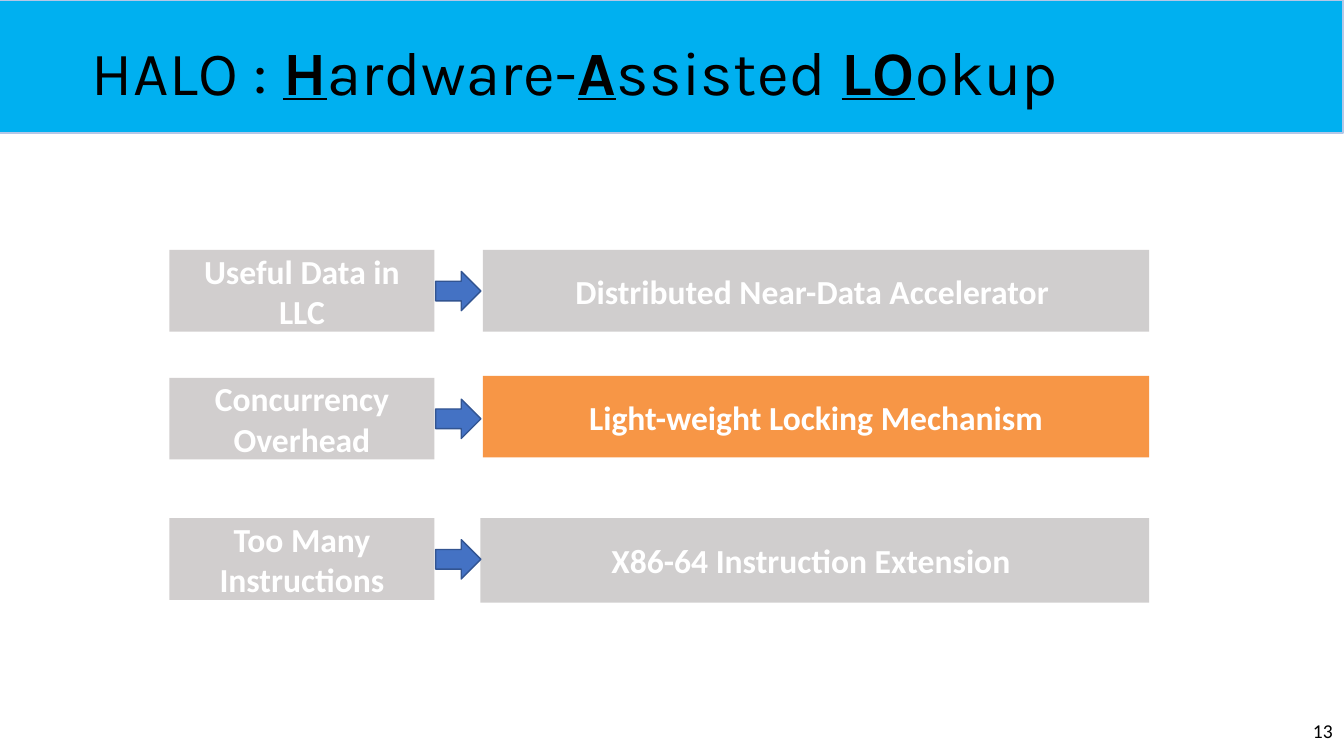
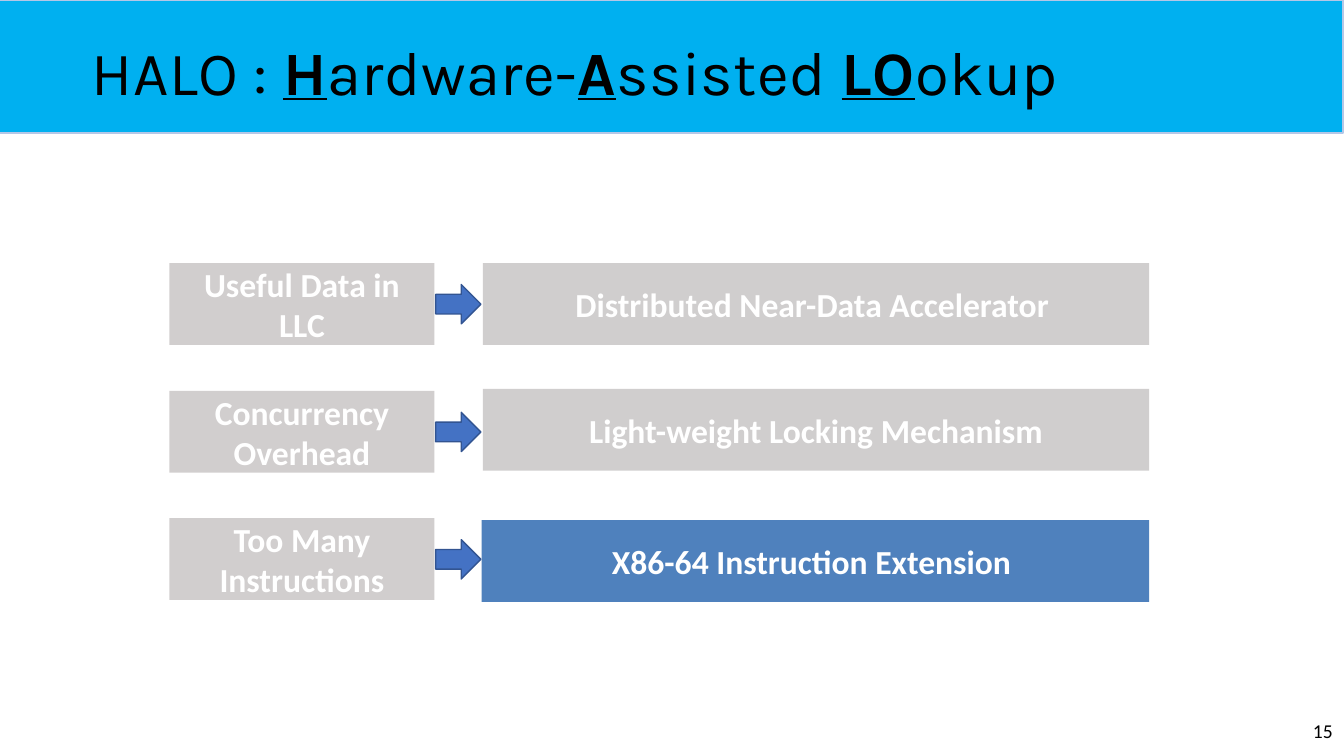
from dataclasses import dataclass

from pptx import Presentation
from pptx.dml.color import RGBColor
from pptx.enum.shapes import MSO_SHAPE
from pptx.enum.text import MSO_ANCHOR, MSO_AUTO_SIZE, PP_ALIGN
from pptx.util import Cm, Pt

BAND_BLUE, BAND_LINE = "00B0F0", "B4C7E7"
LABEL_GREY, MUTED_GREY = "D1CECE", "D0CECE"
ORANGE, BLUE = "F79646", "4F81BD"
ARROW_BLUE, ARROW_LINE = "4472C4", "325491"
BLACK, WHITE = "000000", "FFFFFF"

TITLE_SPANS = [("HALO : ", False), ("H", True), ("ardware-", False), ("A", True),
               ("ssisted ", False), ("LO", True), ("okup", False)]
PAIRS = [("Useful Data in LLC", "Distributed Near-Data Accelerator "),
         ("Concurrency Overhead", "Light-weight Locking Mechanism"),
         ("Too Many Instructions", "X86-64 Instruction Extension ")]
LABEL_LEFT, LABEL_WIDTH, LABEL_HEIGHT = 4.27, 6.68, 2.06
ARROW_LEFT, ARROW_DROP, ARROW_WIDTH, ARROW_HEIGHT = 10.98, 0.54, 1.14, 0.99
ROW_RIGHT = 28.96


@dataclass
class Row:
    top: float
    solution_left: float = 12.17
    solution_drop: float = 0
    solution_height: float = 2.06
    colour: str = MUTED_GREY


def rgb(colour):
    return RGBColor.from_string(colour)


def write(para, text, size=24, font="Calibri", colour=WHITE, bold=False, underline=False):
    span = para.add_run()
    span.text = text
    span.font.size = Pt(size)
    span.font.name = font
    span.font.color.rgb = rgb(colour)
    span.font.bold = bold
    span.font.underline = underline
    return span


def add_box(page, kind, left, top, width, height, fill, line=None):
    box = page.shapes.add_shape(kind, Cm(left), Cm(top), Cm(width), Cm(height))
    box.shadow.inherit = False
    box.fill.solid()
    box.fill.fore_color.rgb = rgb(fill)
    if line:
        box.line.color.rgb = rgb(line)
        box.line.width = Pt(1)
    else:
        box.line.fill.background()
    return box


def add_text_block(page, text, left, top, width, height, fill):
    box = add_box(page, MSO_SHAPE.RECTANGLE, left, top, width, height, fill)
    frame = box.text_frame
    frame.word_wrap = True
    frame.vertical_anchor = MSO_ANCHOR.MIDDLE
    para = frame.paragraphs[0]
    para.alignment = PP_ALIGN.CENTER
    write(para, text, bold=True)


def add_row(page, row, label, solution):
    add_text_block(page, solution, row.solution_left, row.top + row.solution_drop,
                   ROW_RIGHT - row.solution_left, row.solution_height, row.colour)
    add_box(page, MSO_SHAPE.RIGHT_ARROW, ARROW_LEFT, row.top + ARROW_DROP,
            ARROW_WIDTH, ARROW_HEIGHT, ARROW_BLUE, ARROW_LINE)
    add_text_block(page, label, LABEL_LEFT, row.top, LABEL_WIDTH, LABEL_HEIGHT, LABEL_GREY)


def add_band_to_layout(page):
    band = add_box(page, MSO_SHAPE.RECTANGLE, -0.02, 0, 33.87, 3.35, BAND_BLUE, BAND_LINE)
    page.slide_layout.shapes.element.insert(2, band.element)


def format_title(page):
    title = page.shapes.title
    title.left, title.top, title.width, title.height = Cm(2.31), Cm(0.79), Cm(27.89), Cm(1.93)
    frame = title.text_frame
    frame.word_wrap = True
    frame.auto_size = MSO_AUTO_SIZE.NONE
    frame.vertical_anchor = MSO_ANCHOR.MIDDLE
    frame.margin_left = frame.margin_right = frame.margin_bottom = 0
    frame.margin_top = Cm(0.05)
    para = frame.paragraphs[0]
    para.alignment = PP_ALIGN.LEFT
    para.space_before = Pt(1.1)
    for text, strong in TITLE_SPANS:
        span = write(para, text, size=44, font="Karla", colour=BLACK,
                     bold=strong, underline=strong)
        span.font._element.set("spc", "30")


def add_page_number(page, number):
    box = page.shapes.add_textbox(Cm(32.72), Cm(17.98), Cm(1.12), Cm(1.02))
    box.text_frame.word_wrap = True
    para = box.text_frame.paragraphs[0]
    para.alignment = PP_ALIGN.RIGHT
    write(para, str(number), size=14, colour=BLACK)


def add_overview(deck, number, rows):
    page = deck.slides.add_slide(deck.slide_layouts[5])
    format_title(page)
    for row, (label, solution) in zip(rows, PAIRS):
        add_row(page, row, label, solution)
    add_page_number(page, number)
    return page


def main():
    deck = Presentation()
    deck.slide_width, deck.slide_height = Cm(33.87), Cm(19.05)
    locking_page = add_overview(deck, 13, [
        Row(6.3),
        Row(9.52, solution_drop=-0.05, colour=ORANGE),
        Row(13.06, solution_left=12.11, solution_height=2.13),
    ])
    add_band_to_layout(locking_page)
    add_overview(deck, 15, [
        Row(6.63),
        Row(9.85, solution_drop=-0.05),
        Row(13.06, solution_left=12.14, solution_drop=0.05, colour=BLUE),
    ])
    deck.save("out.pptx")


if __name__ == "__main__":
    main()
